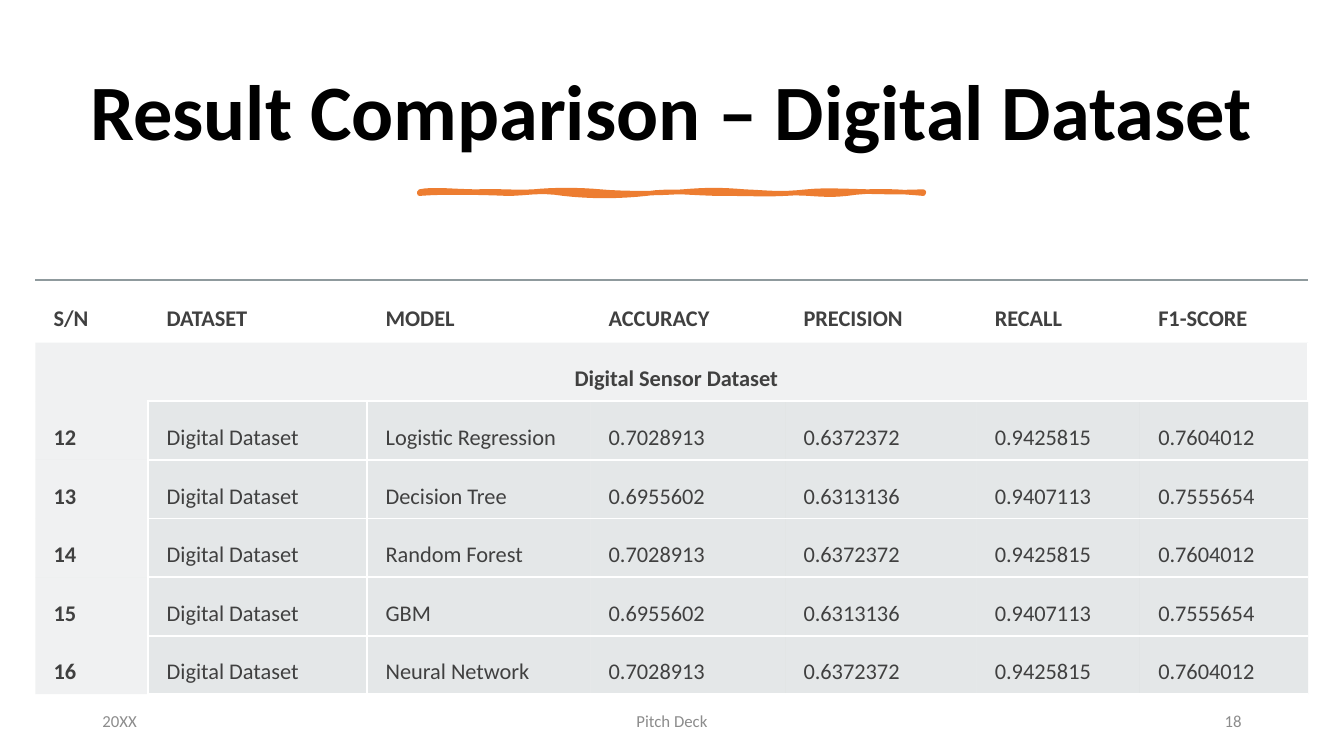
from pptx import Presentation
from pptx.dml.color import RGBColor
from pptx.enum.text import MSO_ANCHOR as Anchor, MSO_AUTO_SIZE as Fit, PP_ALIGN as Align
from pptx.oxml.ns import qn
from pptx.util import Cm, Pt
from lxml.etree import SubElement as Sub

BLACK = RGBColor(0x00, 0x00, 0x00)
DARK = RGBColor(0x40, 0x40, 0x40)
GREY = RGBColor(0x8C, 0x8C, 0x8C)
ORANGE = RGBColor(0xED, 0x7D, 0x31)
RULE = RGBColor(0x8F, 0x9A, 0x9D)
BAND = RGBColor(0xB4, 0xBC, 0xBE)
WHITE = RGBColor(0xFF, 0xFF, 0xFF)
FONT = "Calibri"
NO_STYLE = "{2D5ABB26-0587-4C30-8999-92F81FD0307C}"

HEADS = ["S/N", "DATASET", "MODEL", "ACCURACY", "PRECISION", "RECALL", "F1-SCORE"]
WIDTHS = [2.85, 5.52, 5.62, 4.91, 4.82, 4.12, 4.24]
HIGH = ["0.7028913", "0.6372372", "0.9425815", "0.7604012"]
LOW = ["0.6955602", "0.6313136", "0.9407113", "0.7555654"]
MODELS = [("Logistic Regression", HIGH), ("Decision Tree", LOW),
          ("Random Forest", HIGH), ("GBM", LOW), ("Neural Network", HIGH)]
FIRST = 12

# Bezier points of the brush stroke, as hundredths of an inch: along the top, then back
STROKE = [(0, 0), (12, -3), (38, 0), (57, 0), (76, -1), (93, 1), (113, 0),
          (133, -2), (158, -2), (180, 0), (201, 2), (237, 2), (261, 0),
          (286, -2), (298, -2), (323, 0), (347, 1), (358, 3), (384, 0),
          (410, -3), (451, 2), (500, 0), (501, 1), (500, 1), (500, 2),
          (479, 0), (449, -2), (424, 2), (399, 5), (385, 0), (363, 2),
          (340, 3), (331, 2), (301, 2), (271, 2), (251, -2), (225, 2),
          (198, 5), (169, 5), (143, 2), (118, -2), (107, 2), (87, 2),
          (67, 1), (22, 0), (0, 2)]


def style(para, size, color, align, bold=False):
    para.alignment = align
    font = para.font
    font.name, font.size, font.bold = FONT, Pt(size), bold
    font.color.rgb = color


def add_title(slide, left, top, width, height):
    title = slide.shapes.title
    title.left, title.top, title.width, title.height = left, top, width, height
    frame = title.text_frame
    frame.text = "Result Comparison – Digital Dataset"
    frame.word_wrap, frame.auto_size = True, Fit.NONE
    frame.vertical_anchor = Anchor.MIDDLE
    para = frame.paragraphs[0]
    style(para, 56, BLACK, Align.CENTER, True)
    para.line_spacing = 0.9


def curve(points, steps=8):
    """Points along a chain of cubic curves."""
    for i in range(0, len(points) - 1, 3):
        for k in range(1, steps + 1):
            t = k / steps
            mix = ((1 - t) ** 3, 3 * t * (1 - t) ** 2, 3 * t * t * (1 - t), t ** 3)
            yield tuple(sum(m * p[axis] for m, p in zip(mix, points[i:i + 4]))
                        for axis in (0, 1))


def add_stroke(slide, left, top, width):
    unit = width / 500
    pen = slide.shapes.build_freeform(left, top)
    pen.add_line_segments([(left + x * unit, top + y * unit)
                           for x, y in curve(STROKE)], close=True)
    brush = pen.convert_to_shape()
    brush.shadow.inherit = False
    brush.fill.solid()
    brush.fill.fore_color.rgb = ORANGE
    brush.line.color.rgb = ORANGE
    brush.line.width = Pt(3.25)


def paint(parent, color, alpha):
    fill = Sub(parent, qn("a:solidFill"))
    tone = Sub(fill, qn("a:srgbClr"), val=str(color))
    if alpha < 100:
        Sub(tone, qn("a:alpha"), val=str(alpha * 1000))


def fill_cell(cell, text, align=Align.JUSTIFY, bold=False, pad=0.23,
              band=None, sides="", edge=WHITE, clear=100):
    cell.text = text
    cell.vertical_anchor = Anchor.MIDDLE
    cell.margin_left = Cm(0.46)
    cell.margin_right = cell.margin_top = cell.margin_bottom = Cm(pad)
    para = cell.text_frame.paragraphs[0]
    style(para, 16, DARK, align, bold)
    para.line_spacing, para.space_after = 1.5, Pt(8)
    # Borders come before the fill
    props = cell._tc.get_or_add_tcPr()
    for side in sides:
        paint(Sub(props, qn("a:ln" + side), w=str(Pt(1.5))), edge, clear)
    if band:
        paint(props, BAND, band)
    else:
        cell.fill.background()


def add_scores(slide, left, top, width, height):
    count = len(MODELS) + 2
    table = slide.shapes.add_table(count, len(HEADS), left, top, width, height).table
    table.horz_banding = False
    table._tbl.tblPr.find(qn("a:tableStyleId")).text = NO_STYLE
    for col, size in zip(table.columns, WIDTHS):
        col.width = Cm(size)
    for i, row in enumerate(table.rows):
        row.height = Cm(1.12 if i else 1.37)

    # Header and banner rows
    for c, head in enumerate(HEADS):
        fill_cell(table.cell(0, c), head, bold=True, pad=0.28,
                  sides="T", edge=RULE, clear=60)
    banner = table.cell(1, 0)
    banner.merge(table.cell(1, len(HEADS) - 1))
    fill_cell(banner, "Digital Sensor Dataset", Align.CENTER, True, band=20, sides="R")

    # One row for each model
    for r, (model, scores) in enumerate(MODELS):
        for c, text in enumerate([str(FIRST + r), "Digital Dataset", model, *scores]):
            sides = "R" if c == 0 else "LTB" if c == 1 else "TB"
            fill_cell(table.cell(r + 2, c), text, bold=c == 0,
                      band=35 if c else 20, sides=sides)


def add_foot(slide, left, top, width, height):
    side, mid = Cm(7.62), Cm(11.43)
    parts = [("20XX", left, side, Align.LEFT),
             ("Pitch Deck", left + (width - mid) // 2, mid, Align.CENTER),
             ("18", left + width - side, side, Align.RIGHT)]
    for text, x, wide, align in parts:
        frame = slide.shapes.add_textbox(x, top, wide, height).text_frame
        frame.text = text
        frame.word_wrap = True
        frame.vertical_anchor = Anchor.MIDDLE
        style(frame.paragraphs[0], 12, GREY, align)
        frame.paragraphs[0].space_after = Pt(6)


def main():
    deck = Presentation()
    deck.slide_width, deck.slide_height = Cm(33.87), Cm(19.05)
    slide = deck.slides.add_slide(deck.slide_layouts[5])
    add_title(slide, Cm(1.78), Cm(1.17), Cm(30.3), Cm(3.48))
    add_stroke(slide, Cm(10.57), Cm(4.83), Cm(12.7))
    add_foot(slide, Cm(2.33), Cm(17.66), Cm(29.21), Cm(1.01))
    add_scores(slide, Cm(0.89), Cm(7.06), Cm(32.08), Cm(8.09))
    deck.save("out.pptx")


if __name__ == "__main__":
    main()
